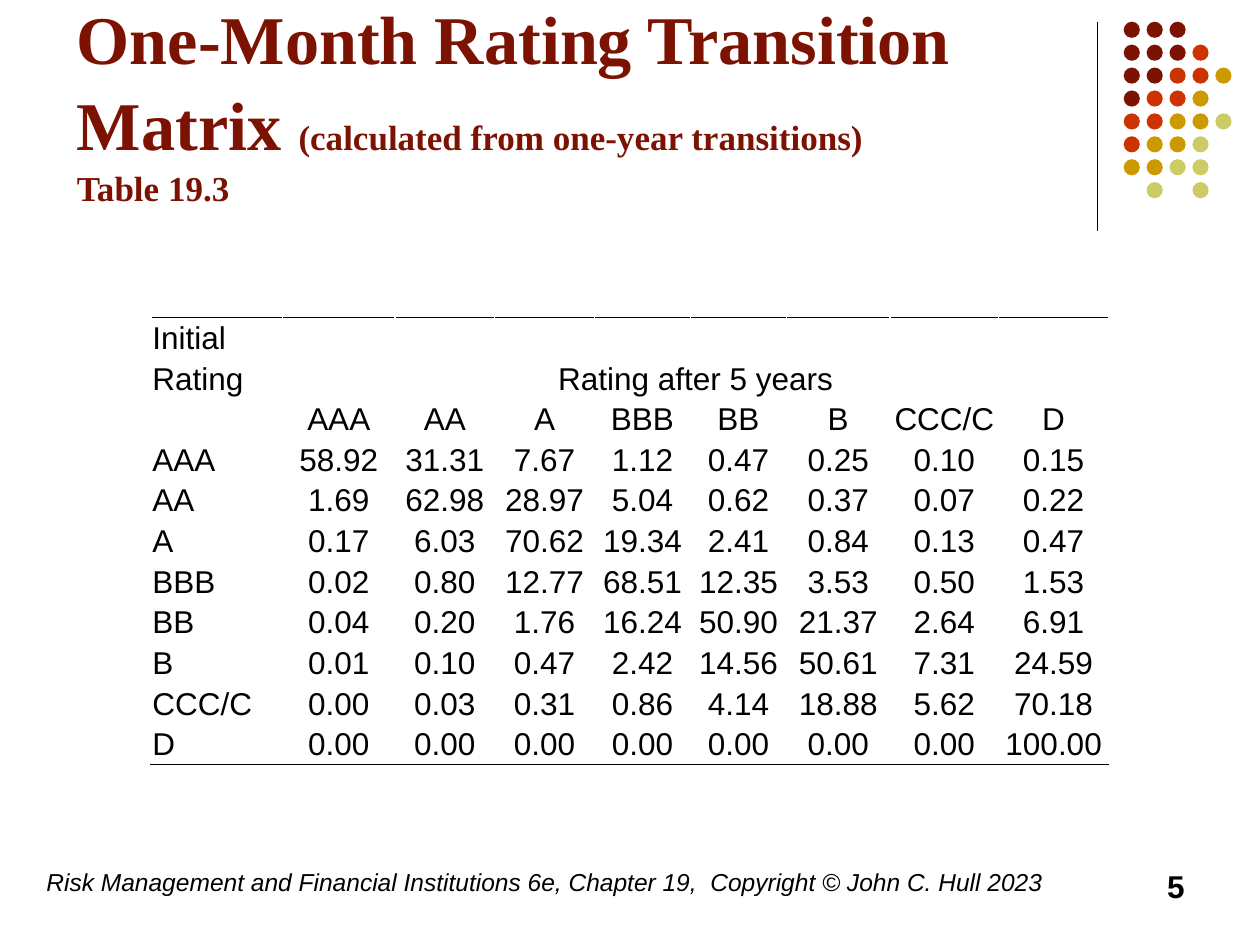
import pptx
import pptx.util
import pptx.dml.color
import pptx.enum.shapes
import pptx.enum.text
import pptx.oxml
import pptx.oxml.ns

Inches, Pt = pptx.util.Inches, pptx.util.Pt
ALIGN = pptx.enum.text.PP_ALIGN
ANCHOR = pptx.enum.text.MSO_ANCHOR
W, H = 10, 7.5
COLORS = {"maroon": "7C1302", "red": "CC3300", "gold": "CC9900",
          "olive": "CCCC66", "black": "000000"}
DOT_KEYS = {"M": "maroon", "R": "red", "G": "gold", "O": "olive"}
DOT_ROWS = ["MMM", "MMMR", "MMRRG", "MRRG", "RRGGO", "RGGO", "GGOO", " O O"]
COL_WIDTHS = [1.04, 0.89, 0.79, 0.79, 0.76, 0.76, 0.82, 0.86, 0.87]
RATINGS = ["AAA", "AA", "A", "BBB", "BB", "B", "CCC/C", "D"]
MATRIX = """58.92 31.31 7.67 1.12 0.47 0.25 0.10 0.15
1.69 62.98 28.97 5.04 0.62 0.37 0.07 0.22
0.17 6.03 70.62 19.34 2.41 0.84 0.13 0.47
0.02 0.80 12.77 68.51 12.35 3.53 0.50 1.53
0.04 0.20 1.76 16.24 50.90 21.37 2.64 6.91
0.01 0.10 0.47 2.42 14.56 50.61 7.31 24.59
0.00 0.03 0.31 0.86 4.14 18.88 5.62 70.18
0.00 0.00 0.00 0.00 0.00 0.00 0.00 100.00"""


def rgb(name):
    """Return the named colour."""
    return pptx.dml.color.RGBColor.from_string(COLORS[name])


def emu(box):
    """Convert a box in inches to lengths."""
    return [Inches(v) for v in box]


def style(font, size, face="Arial", color="black", bold=False, italic=False):
    """Apply a text style to a font."""
    font.size, font.name = Pt(size), face
    font.bold, font.italic = bold, italic
    font.color.rgb = rgb(color)


def add_title(s, box):
    """Fill the title placeholder with a large heading and a smaller note."""
    sp = s.shapes.title
    sp.left, sp.top, sp.width, sp.height = emu(box)
    tf = sp.text_frame
    tf.word_wrap = True
    tf.auto_size = pptx.enum.text.MSO_AUTO_SIZE.NONE
    tf.vertical_anchor = ANCHOR.BOTTOM
    p = tf.paragraphs[0]
    p.alignment, p.line_spacing = ALIGN.LEFT, 1.05
    style(p.font, 39, "Times New Roman", "maroon", bold=True)
    p.add_run().text = "One-Month Rating Transition Matrix "
    for i, text in enumerate(["(calculated from one-year transitions)", "Table 19.3"]):
        if i:
            p.add_line_break()
        r = p.add_run()
        r.text, r.font.size = text, Pt(20)


def add_ornament(s, box):
    """Draw the vertical rule and the grid of dots to its right."""
    x, y, w, h = box
    rule = s.shapes.add_connector(pptx.enum.shapes.MSO_CONNECTOR.STRAIGHT,
                                  *emu([x, y, x, y + h]))
    rule.line.color.rgb, rule.line.width = rgb("black"), Pt(0.75)
    pptx.oxml.ns.qn("a:effectLst")
    rule._element.spPr.append(pptx.oxml.parse_xml(
        f'<a:effectLst {pptx.oxml.ns.nsdecls("a")}/>'))
    dots = s.shapes.add_group_shape()
    size, pitch = 0.12 * w, 0.17 * w
    for row, keys in enumerate(DOT_ROWS):
        for col, key in enumerate(keys):
            if key == " ":
                continue
            sp = dots.shapes.add_shape(
                pptx.enum.shapes.MSO_SHAPE.OVAL,
                *emu([x + 0.195 * w + col * pitch, y + row * pitch, size, size]))
            sp.shadow.inherit = False
            sp.fill.solid()
            sp.fill.fore_color.rgb = rgb(DOT_KEYS[key])
            sp.line.fill.background()


def add_border(cell, side):
    """Draw a black line on one side of a cell."""
    cell._tc.get_or_add_tcPr().insert(0, pptx.oxml.parse_xml(
        f'<a:{side} {pptx.oxml.ns.nsdecls("a")} w="12700"><a:solidFill>'
        f'<a:srgbClr val="{COLORS["black"]}"/></a:solidFill></a:{side}>'))


def add_matrix(s, box):
    """Place the rating transition table between its top and bottom rules."""
    blank = [""] * len(RATINGS)
    rows = [["Initial"] + blank,
            ["Rating", "Rating after 5 years"] + blank[1:],
            [""] + RATINGS]
    rows += [[name] + line.split() for name, line in zip(RATINGS, MATRIX.splitlines())]
    table = s.shapes.add_table(len(rows), len(COL_WIDTHS), *emu(box)).table
    table.first_row = table.horz_banding = False
    for column, width in zip(table.columns, COL_WIDTHS):
        column.width = Inches(box[2] * width / sum(COL_WIDTHS))
    for i, row in enumerate(rows):
        for j, text in enumerate(row):
            cell = table.cell(i, j)
            cell.fill.background()
            cell.vertical_anchor = ANCHOR.MIDDLE
            cell.margin_left = cell.margin_right = cell.margin_top = Inches(0.01)
            cell.margin_bottom = 0
            p = cell.text_frame.paragraphs[0]
            p.text = text
            p.alignment = ALIGN.CENTER if j else ALIGN.LEFT
            style(p.font, 18)
            if i == 0:
                add_border(cell, "lnT")
            if i == len(rows) - 1:
                add_border(cell, "lnB")
    table.cell(1, 1).merge(table.cell(1, len(RATINGS)))


def add_note(s, box, text, align, size, **look):
    """Place one line of footer text."""
    tf = s.shapes.add_textbox(*emu(box)).text_frame
    tf.word_wrap = True
    p = tf.paragraphs[0]
    p.text, p.alignment = text, align
    style(p.font, size, **look)


def main():
    """Build and save the slide."""
    prs = pptx.Presentation()
    prs.slide_width, prs.slide_height = Inches(W), Inches(H)
    s = prs.slides.add_slide(prs.slide_layouts[5])
    add_ornament(s, [0.871 * W, 0.023 * H, 0.107 * W, 0.221 * H])
    add_title(s, [0.051 * W, 0.037 * H, 0.825 * W, 0.19 * H])
    foot, depth = 0.911 * H, 0.067 * H
    add_note(s, [0.027 * W, foot, 0.827 * W, depth],
             "Risk Management and Financial Institutions 6e, Chapter 19,  "
             "Copyright © John C. Hull 2023", ALIGN.LEFT, 14, italic=True)
    add_note(s, [0.717 * W, foot, 0.233 * W, depth], "5", ALIGN.RIGHT, 18, bold=True)
    add_matrix(s, [0.12 * W, 0.336 * H, 0.76 * W, 0.473 * H])
    prs.save("out.pptx")


if __name__ == "__main__":
    main()
